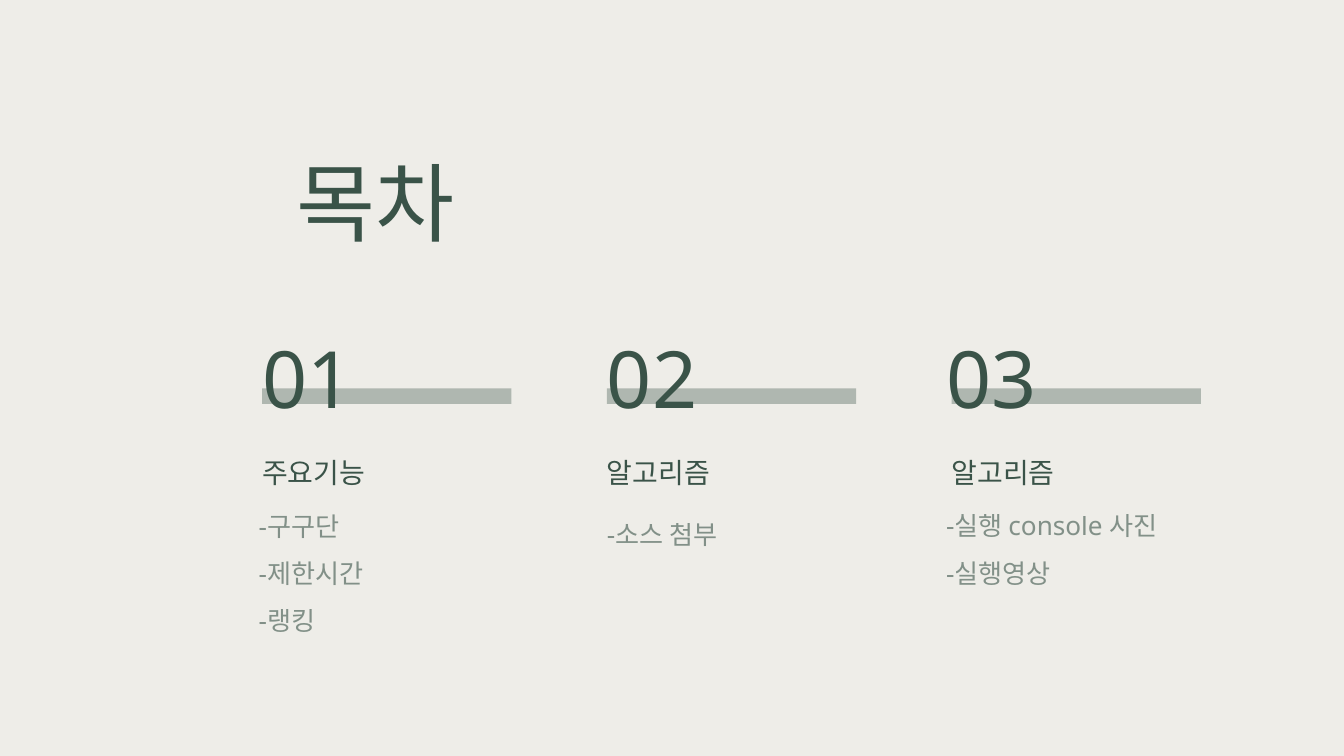
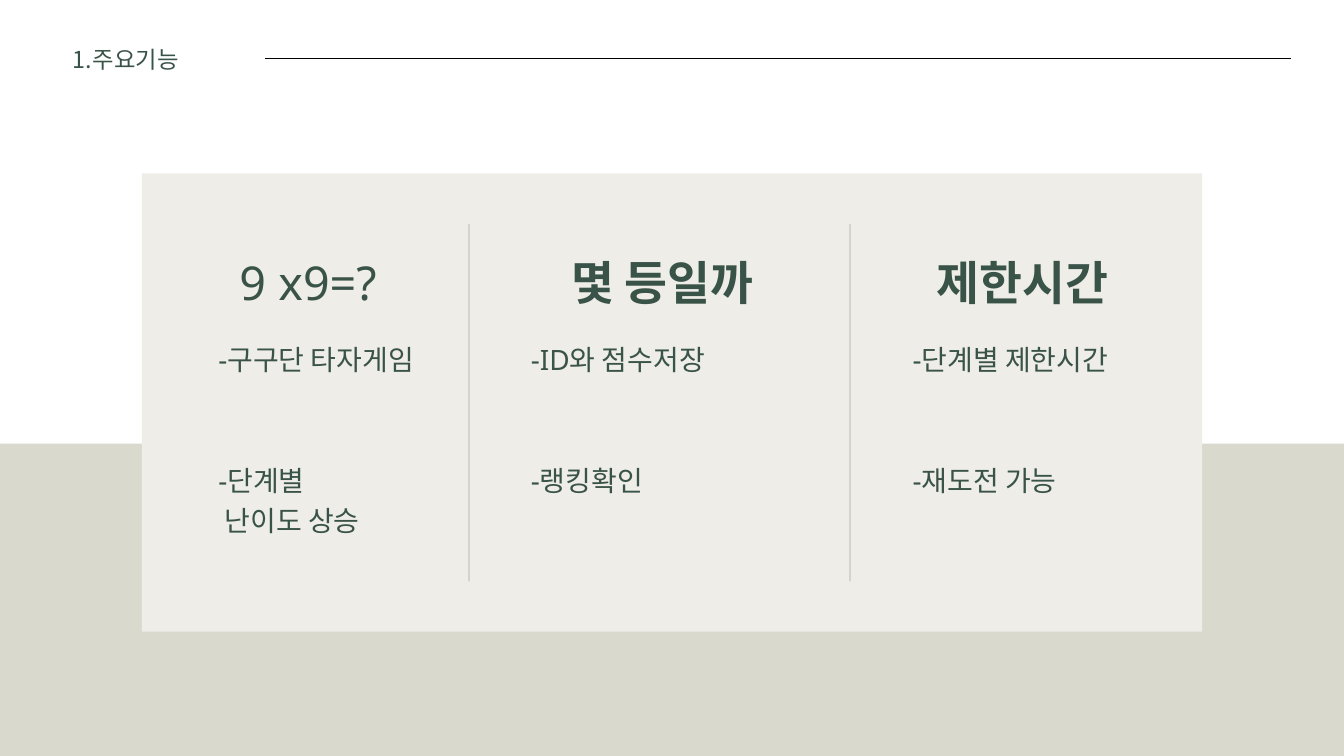
import pptx
import pptx.dml.color
import pptx.enum.shapes
import pptx.enum.text
import pptx.oxml.ns
import pptx.util
from lxml import etree

Pt = pptx.util.Pt
RGB = pptx.dml.color.RGBColor
qn = pptx.oxml.ns.qn

GREEN = RGB(0x3A, 0x53, 0x48)
CREAM = RGB(0xEE, 0xED, 0xE8)
SAND = RGB(0xDA, 0xD9, 0xCE)
WHITE = RGB(0xFF, 0xFF, 0xFF)
BLACK = RGB(0, 0, 0)
SANS = "Noto Sans"
KOREAN = "Noto Sans CJK KR"
WIDE, HIGH = 1440, 810

# number, its left; heading; items with their left, top, width
TOPICS = [
    ("01", 280.8, "주요기능", ["-구구단", "-제한시간", "-랭킹"], 277.2, 529.2, 275),
    ("02", 650.2, "알고리즘", ["-소스 첨부"], 650.2, 538.6, 275),
    ("03", 1013.8, "알고리즘", ["-실행 console 사진", "-실행영상"],
     1013.8, 529.2, 369.4),
]
TOPIC_X, TOPIC_STEP, TOPIC_W = 280.8, 369.4, 267.1

# heading, bold, its left; two notes with their left, width
CARDS = [
    ("9 x9=?", False, 209.5, ["-구구단 타자게임"], ["-단계별", " 난이도 상승"], 234, 240.5),
    ("몇 등일까", True, 589, ["-ID와 점수저장"], ["-랭킹확인"], 568.8, 301),
    ("제한시간", True, 974.9, ["-단계별 제한시간"], ["-재도전 가능"], 977.8, 255.6),
]
CARD_W = 241.2
NOTE_TOPS = (360.7, 491)
RULES = (502.6, 910.8)


def fade(fill, alpha):
    """Set the opacity, in percent, of a solid fill's colour."""
    color = fill.find(".//" + qn("a:srgbClr"))
    etree.SubElement(color, qn("a:alpha")).set("val", str(alpha * 1000))


def add_slide(deck, color):
    slide = deck.slides.add_slide(deck.slide_layouts[6])
    slide.background.fill.solid()
    slide.background.fill.fore_color.rgb = color
    return slide


def add_box(slide, x, y, w, h, color, alpha=100):
    box = slide.shapes.add_shape(
        pptx.enum.shapes.MSO_SHAPE.RECTANGLE, Pt(x), Pt(y), Pt(w), Pt(h))
    box.shadow.inherit = False
    box.fill.solid()
    box.fill.fore_color.rgb = color
    box.line.fill.background()
    if alpha < 100:
        fade(box.element.spPr, alpha)


def add_rule(slide, x1, y1, x2, y2, alpha=100):
    rule = slide.shapes.add_connector(
        pptx.enum.shapes.MSO_CONNECTOR.STRAIGHT, Pt(x1), Pt(y1), Pt(x2), Pt(y2))
    rule.line.color.rgb = BLACK
    rule.line.width = Pt(0.75)
    if alpha < 100:
        fade(rule.line._get_or_add_ln(), alpha)
    etree.SubElement(rule.element.spPr, qn("a:effectLst"))


def add_text(slide, lines, x, y, w, h, size, space, font=SANS, bold=False,
             center=False, alpha=100, number=False):
    box = slide.shapes.add_textbox(Pt(x), Pt(y), Pt(w), Pt(h))
    frame = box.text_frame
    frame.word_wrap = True
    frame.auto_size = pptx.enum.text.MSO_AUTO_SIZE.SHAPE_TO_FIT_TEXT
    frame.margin_left = frame.margin_right = 0
    frame.margin_top = frame.margin_bottom = 0
    for i, line in enumerate(lines):
        para = frame.paragraphs[0] if i == 0 else frame.add_paragraph()
        para.line_spacing = Pt(space)
        align = pptx.enum.text.PP_ALIGN
        para.alignment = align.CENTER if center else align.LEFT
        run = para.add_run()
        run.text = line
        run.font.size = Pt(size)
        run.font.name = font
        run.font.bold = bold
        run.font.color.rgb = GREEN
        props = run._r.get_or_add_rPr()
        etree.SubElement(props, qn("a:ea")).set("typeface", KOREAN)
        if alpha < 100:
            fade(props, alpha)
        if number:
            para.level = 1
            props = para._p.get_or_add_pPr()
            props.set("marL", str(Pt(42.5)))
            props.set("indent", str(Pt(-21.6)))
            mark = etree.SubElement(props, qn("a:buAutoNum"))
            mark.set("type", "arabicPeriod")


def add_contents(deck):
    slide = add_slide(deck, CREAM)
    add_text(slide, ["목차"], 275.8, 141.8, 252.7, 130.3, 92, 128.8,
             font=KOREAN, center=True)
    for i, (num, num_x, head, items, x, y, w) in enumerate(TOPICS):
        left = TOPIC_X + i * TOPIC_STEP
        add_box(slide, left, 416.2, TOPIC_W, 16.6, GREEN, alpha=35)
        add_text(slide, [num], num_x, 336.2, 134, 113.8, 84.6, 118.5)
        add_text(slide, [head], left, 469.4, TOPIC_W, 49, 30, 54.3)
        add_text(slide, items, x, y, w, 50.7 * len(items), 28, 50.7, alpha=60)


def add_features(deck):
    slide = add_slide(deck, WHITE)
    add_box(slide, 0, 475.2, WIDE, HIGH - 475.2, SAND)
    add_box(slide, 151.9, 185.8, 1136.2, 491, CREAM)
    add_text(slide, ["주요기능"], 56.9, 43.9, 226.8, 33.1, 25, 35, number=True)
    add_rule(slide, 284.4, 62.6, 1383.1, 62.6)
    for head, bold, head_x, *notes, x, w in CARDS:
        add_text(slide, [head], head_x, 262.1, CARD_W, 67.7, 50, 70,
                 bold=bold, center=True)
        for lines, y in zip(notes, NOTE_TOPS):
            add_text(slide, lines, x, y, w, 42 * len(lines), 30, 42)
    for x in RULES:
        add_rule(slide, x, 239.8, x, 622.8, alpha=30)


def main():
    deck = pptx.Presentation()
    deck.slide_width, deck.slide_height = Pt(WIDE), Pt(HIGH)
    add_contents(deck)
    add_features(deck)
    deck.save("out.pptx")


if __name__ == "__main__":
    main()
